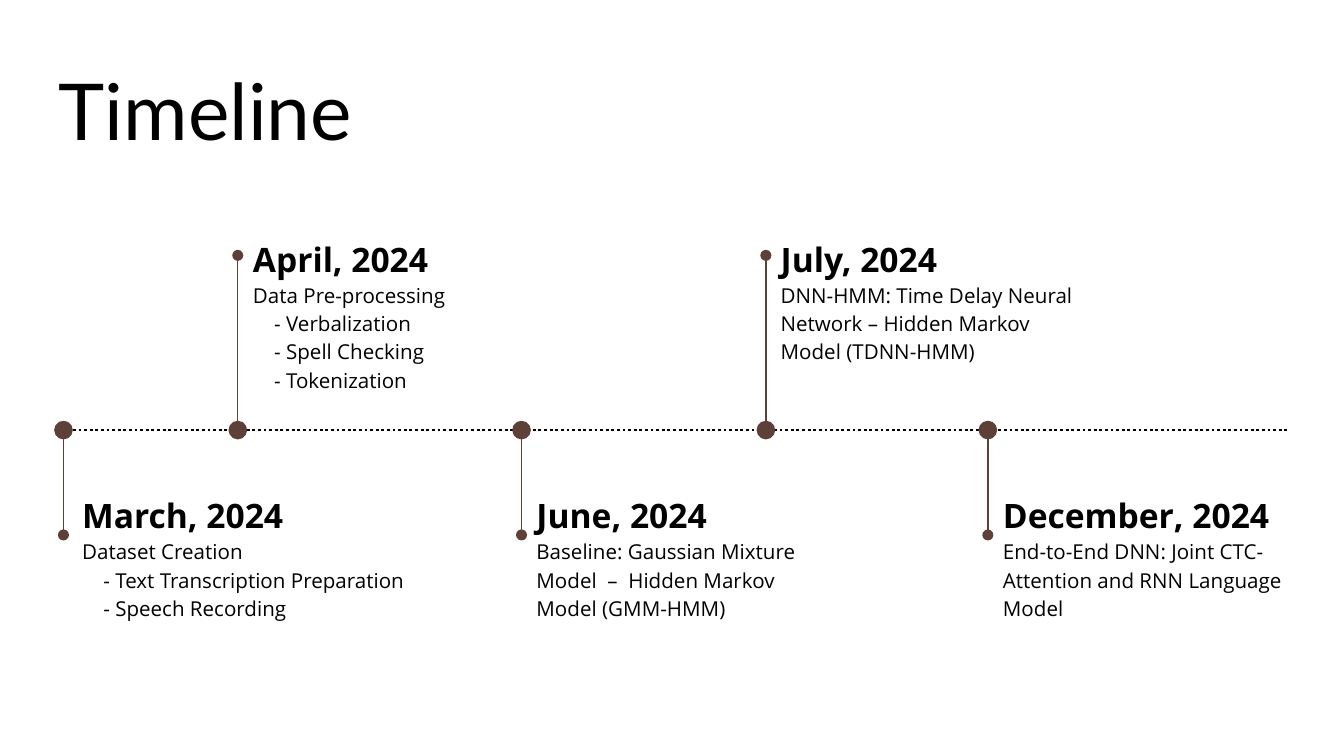
import pptx
import pptx.dml.color
import pptx.enum.dml
import pptx.enum.shapes
import pptx.enum.text
import pptx.oxml.ns
import pptx.util
from lxml import etree

Pt = pptx.util.Pt

AXIS_Y = 230.4
DOT_SIZE = 10
STEM_ENDS = {"above": 136.8, "below": 286.6}
TEXT_TOPS = {"above": 117.4, "below": 254.9}

# centre x, side, text left, text width, text height, date, body, steps
MILESTONES = [
    (34, "below", 36.9, 193.7, 111, "March, 2024", "Dataset Creation",
     ["- Text Transcription Preparation", "- Speech Recording"]),
    (127.4, "above", 128.4, 171.4, 86.4, "April, 2024", "Data Pre-processing",
     ["- Verbalization", "- Spell Checking", "- Tokenization"]),
    (279.4, "below", 280.3, 171.4, 95, "June, 2024",
     "Baseline: Gaussian Mixture Model  –  Hidden Markov Model (GMM-HMM)", []),
    (410.3, "above", 411.1, 180.7, 86.4, "July, 2024",
     "DNN-HMM: Time Delay Neural Network – Hidden Markov Model (TDNN-HMM)", []),
    (529.2, "below", 530.2, 171.4, 95, "December, 2024",
     "End-to-End DNN: Joint CTC-Attention and RNN Language Model", []),
]


def color(hex_code):
    return pptx.dml.color.RGBColor.from_string(hex_code)


def apply(target, values):
    """Set every attribute named in values on target."""
    for name, value in values.items():
        setattr(target, name, value)


class TimelineSlide:
    INK = "000000"
    ACCENT = "5D4037"
    STEP_INDENT = 11.4
    TITLE = {"name": "Lato", "size": Pt(42), "bold": False}
    DATE = {"name": "Open Sans", "size": Pt(18), "bold": True}
    BODY = {"name": "Open Sans", "size": Pt(11), "bold": False}
    FRAME = {
        "word_wrap": True,
        "margin_left": Pt(7.2),
        "margin_right": Pt(7.2),
        "margin_top": Pt(7.2),
        "margin_bottom": Pt(7.2),
    }

    def __init__(self, slide):
        self.slide = slide

    def text(self, left, top, width, height, lines, spacing=1.15, anchor="TOP"):
        """Add a text box; each line is (text, font values, left indent)."""
        box = self.slide.shapes.add_textbox(Pt(left), Pt(top), Pt(width), Pt(height))
        frame = box.text_frame
        apply(frame, self.FRAME)
        frame.vertical_anchor = pptx.enum.text.MSO_ANCHOR[anchor]
        for index, (text, font, indent) in enumerate(lines):
            paragraph = frame.add_paragraph() if index else frame.paragraphs[0]
            paragraph.line_spacing = spacing
            if indent:
                properties = paragraph._p.get_or_add_pPr()
                properties.set("marL", str(Pt(indent)))
                properties.set("indent", "0")
            run = paragraph.add_run()
            run.text = text
            apply(run.font, font)
            run.font.color.rgb = color(self.INK)

    def line(self, start, end, hex_code, width, dash=None, oval_end=False):
        connector = self.slide.shapes.add_connector(
            pptx.enum.shapes.MSO_CONNECTOR.STRAIGHT, *map(Pt, start + end))
        connector.line.color.rgb = color(hex_code)
        connector.line.width = Pt(width)
        if dash:
            connector.line.dash_style = dash
        if oval_end:
            tail = etree.SubElement(
                connector.line._get_or_add_ln(), pptx.oxml.ns.qn("a:tailEnd"))
            tail.set("type", "oval")
        etree.SubElement(connector._element.spPr, pptx.oxml.ns.qn("a:effectLst"))

    def dot(self, x, y):
        radius = DOT_SIZE / 2
        shape = self.slide.shapes.add_shape(
            pptx.enum.shapes.MSO_SHAPE.OVAL,
            Pt(x - radius), Pt(y - radius), Pt(DOT_SIZE), Pt(DOT_SIZE))
        shape.shadow.inherit = False
        shape.fill.solid()
        shape.fill.fore_color.rgb = color(self.ACCENT)
        shape.line.fill.background()

    def milestone(self, x, side, left, width, height, date, body, steps):
        self.dot(x, AXIS_Y)
        direction = 1 if side == "below" else -1
        self.line((x, AXIS_Y + direction * DOT_SIZE / 2), (x, STEM_ENDS[side]),
                  self.ACCENT, 0.75, oval_end=True)
        lines = [(date, self.DATE, 0), (body, self.BODY, 0)]
        lines += [(step, self.BODY, self.STEP_INDENT) for step in steps]
        self.text(left, TEXT_TOPS[side], width, height, lines)


def main():
    presentation = pptx.Presentation()
    presentation.slide_width = Pt(720)
    presentation.slide_height = Pt(405)
    timeline = TimelineSlide(presentation.slides.add_slide(presentation.slide_layouts[6]))
    timeline.line((33.1, AXIS_Y), (689.8, AXIS_Y), timeline.INK, 1.5,
                  dash=pptx.enum.dml.MSO_LINE.ROUND_DOT)
    timeline.text(24.5, 25.2, 671, 65.5, [("Timeline", timeline.TITLE, 0)],
                  spacing=1.0, anchor="BOTTOM")
    for milestone in MILESTONES:
        timeline.milestone(*milestone)
    presentation.save("out.pptx")


if __name__ == "__main__":
    main()
